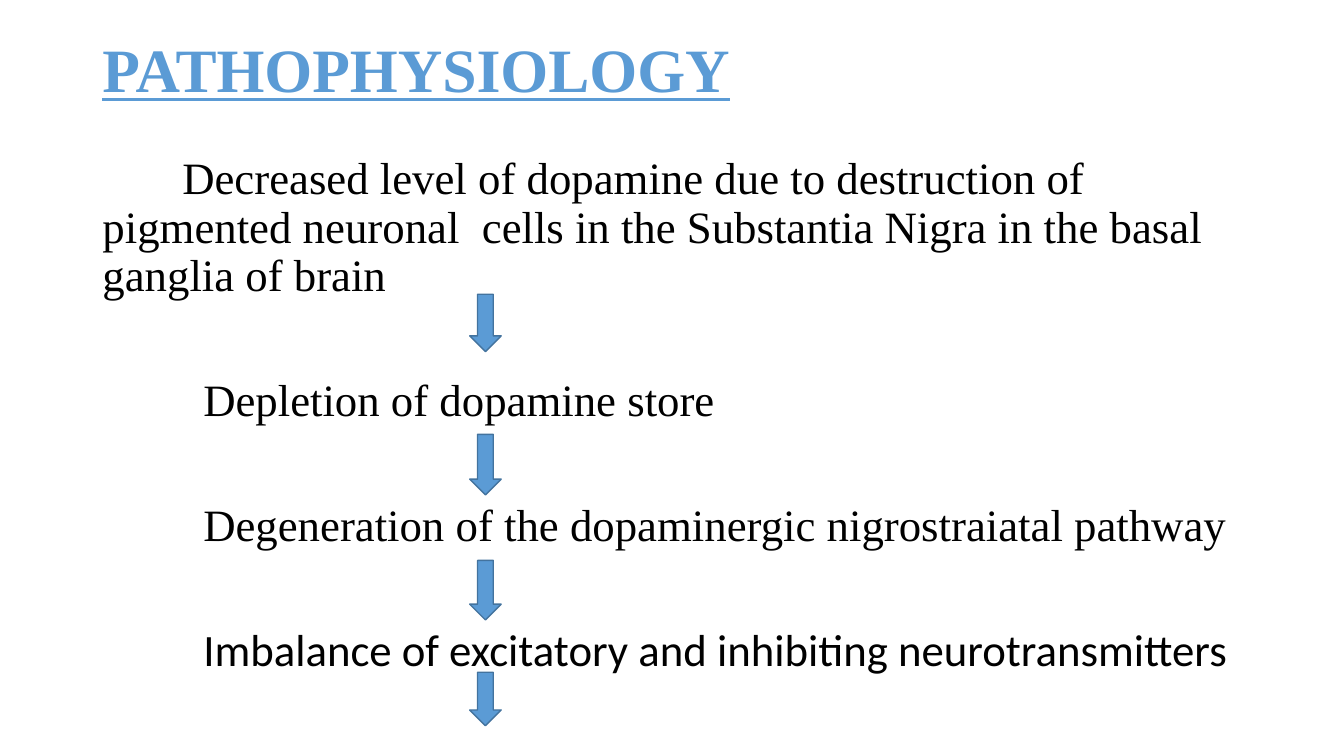
import pptx
import pptx.dml.color
import pptx.enum.shapes
import pptx.enum.text
import pptx.oxml
import pptx.util
from pptx.oxml import ns

Pt = pptx.util.Pt
SERIF = "Times New Roman"
BLUE = "5B9BD5"

# Wording, first-line indent, space before, font
STAGES = [
    ("Decreased level of dopamine due to destruction of pigmented neuronal  cells "
     "in the Substantia Nigra in the basal ganglia of brain", 57, 0, SERIF),
    ("Depletion of dopamine store", 72, 54.6, SERIF),
    ("Degeneration of the dopaminergic nigrostraiatal pathway", 72, 54.6, SERIF),
    ("Imbalance of excitatory and inhibiting neurotransmitters", 72, 54.6, "Calibri"),
]
# Top and height of the arrow below each stage
ARROWS = [(210.2, 41), (310.3, 43.2), (400.3, 42.5), (480.2, 38.2)]


def color(hex_value):
    return pptx.dml.color.RGBColor.from_string(hex_value)


def write(paragraph, text, size=32, font=SERIF, fill="000000", bold=False,
          underline=False, indent=0, before=0):
    properties = paragraph._p.get_or_add_pPr()
    properties.set("marL", "0")
    properties.set("indent", str(int(Pt(indent))))
    paragraph.alignment = pptx.enum.text.PP_ALIGN.LEFT
    paragraph.line_spacing = 0.9
    paragraph.space_before = Pt(before)
    properties.append(pptx.oxml.parse_xml(f"<a:buNone {ns.nsdecls('a')}/>"))
    run = paragraph.add_run()
    run.text = text
    run.font.name = font
    run.font.size = Pt(size)
    run.font.bold = bold
    run.font.underline = underline
    run.font.color.rgb = color(fill)


def place(placeholder, left, top, width, height, anchor):
    placeholder.left, placeholder.top = Pt(left), Pt(top)
    placeholder.width, placeholder.height = Pt(width), Pt(height)
    frame = placeholder.text_frame
    frame.word_wrap = True
    frame.auto_size = pptx.enum.text.MSO_AUTO_SIZE.NONE
    frame.vertical_anchor = anchor
    return frame


def add_down_arrow(slide, top, height):
    arrow = slide.shapes.add_shape(pptx.enum.shapes.MSO_SHAPE.DOWN_ARROW,
                                   Pt(335.5), Pt(top), Pt(22.5), Pt(height))
    arrow.shadow.inherit = False
    arrow.fill.solid()
    arrow.fill.fore_color.rgb = color(BLUE)
    arrow.line.color.rgb = color("43739E")
    arrow.line.width = Pt(1)


def main():
    deck = pptx.Presentation()
    deck.slide_width, deck.slide_height = Pt(960), Pt(540)
    slide = deck.slides.add_slide(deck.slide_layouts[1])
    anchors = pptx.enum.text.MSO_ANCHOR

    # Heading
    heading = place(slide.shapes.title, 66, 13, 828, 78, anchors.MIDDLE)
    write(heading.paragraphs[0], "PATHOPHYSIOLOGY", size=44, fill=BLUE,
          bold=True, underline=True)

    # Stages of the disease
    stages = place(slide.placeholders[1], 66, 108, 828, 427, anchors.TOP)
    for number, (text, indent, before, font) in enumerate(STAGES):
        paragraph = stages.add_paragraph() if number else stages.paragraphs[0]
        write(paragraph, text, font=font, indent=indent, before=before)

    # Arrows from stage to stage
    for top, height in ARROWS:
        add_down_arrow(slide, top, height)

    deck.save("out.pptx")


if __name__ == "__main__":
    main()
